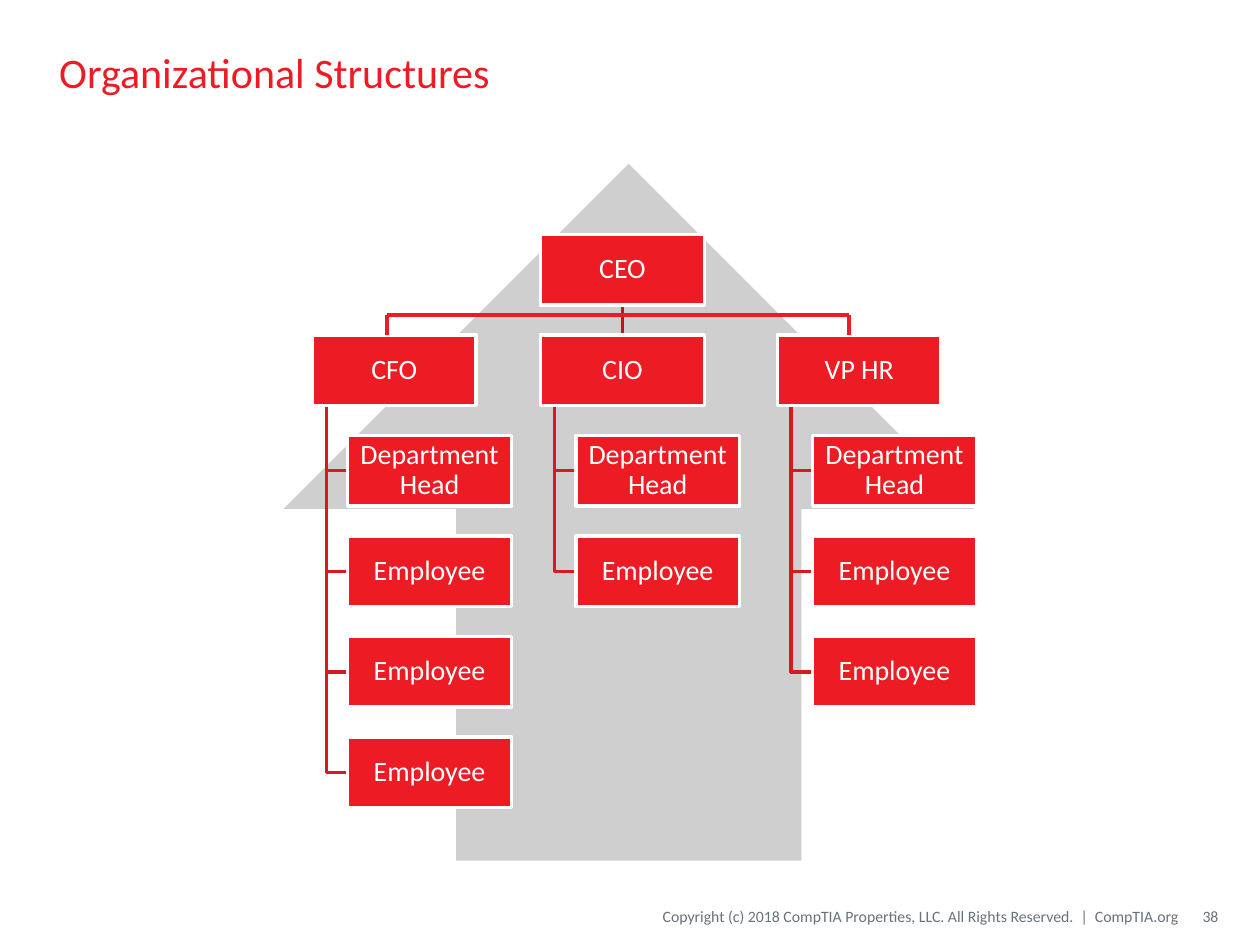
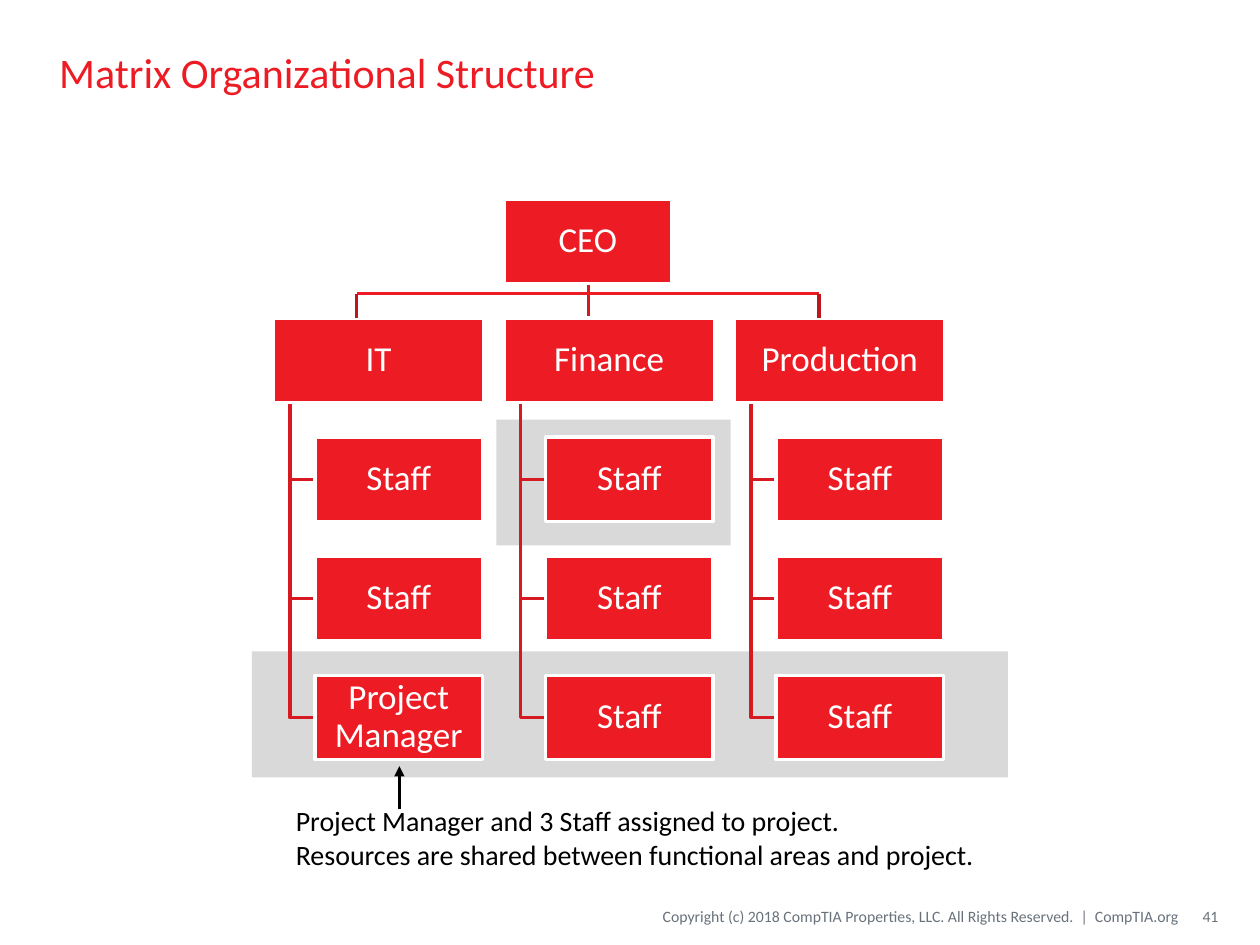
from dataclasses import dataclass

from lxml import etree
from pptx import Presentation
from pptx import util as u
from pptx.dml.color import RGBColor
from pptx.enum import shapes, text
from pptx.oxml import ns

RED = RGBColor(0xED, 0x1C, 0x24)
DEEP_RED = RGBColor(0xD7, 0x19, 0x21)
DARK_RED = RGBColor(0xBE, 0x16, 0x1D)
WHITE = RGBColor(0xFF, 0xFF, 0xFF)
BLACK = RGBColor(0, 0, 0)
FOOTER_GRAY = RGBColor(0x69, 0x72, 0x7B)
ARROW_GRAY = RGBColor(0xBF, 0xBF, 0xBF)
BAND_GRAY = RGBColor(0xD9, 0xD9, 0xD9)

FONT = "Calibri"
COPYRIGHT = ("Copyright (c) 2018 CompTIA Properties, LLC. All Rights Reserved.  |  "
             "CompTIA.org")
TITLE_ONLY = 5


@dataclass
class OrgGrid:
    """Measures of one chart in inches; row 0 is the top box, row 1 the heads."""
    columns: tuple      # left edges of the three branches
    top: float
    pitch: float        # from one row to the next
    box_width: float
    head_width: float
    box_height: float
    indent: float       # of the members, from their head's left edge
    stem: float         # of the vertical line, from the head's left edge
    trunk_x: float
    bus: tuple          # left end, right end and height of the crossbar
    bus_width: float
    trunk_color: RGBColor
    drop_color: RGBColor
    size: int

    def row(self, n):
        return self.top + n * self.pitch


def inches(*values):
    return [u.Inches(v) for v in values]


def write(sp, content, size, color, align=text.PP_ALIGN.LEFT,
          anchor=text.MSO_ANCHOR.MIDDLE, margins=None, spacing=None):
    tf = sp.text_frame
    tf.text = content
    tf.vertical_anchor = anchor
    if margins:
        (tf.margin_left, tf.margin_top,
         tf.margin_right, tf.margin_bottom) = inches(*margins)
    for p in tf.paragraphs:
        p.alignment = align
        if spacing:
            p.line_spacing = spacing
        for r in p.runs:
            r.font.name, r.font.size = FONT, u.Pt(size)
            r.font.color.rgb = color
    return tf


def add_text(slide, at, content, size, color, wrap=True, **style):
    sp = slide.shapes.add_textbox(*inches(*at))
    write(sp, content, size, color, **style).word_wrap = wrap


def add_filled(slide, kind, at, color):
    sp = slide.shapes.add_shape(kind, *inches(*at))
    sp.shadow.inherit = False
    sp.fill.solid()
    sp.fill.fore_color.rgb = color
    sp.line.fill.background()
    return sp


def add_box(slide, at, label, size):
    sp = add_filled(slide, shapes.MSO_SHAPE.RECTANGLE, at, RED)
    sp.line.color.rgb = WHITE
    sp.line.width = u.Pt(2)
    write(sp, label, size, WHITE, align=text.PP_ALIGN.CENTER,
          margins=(0.01,) * 4, spacing=0.9)


def add_line(slide, start, end, color, width=2):
    line = slide.shapes.add_connector(
        shapes.MSO_CONNECTOR.STRAIGHT, *inches(*start, *end))
    line.line.color.rgb = color
    line.line.width = u.Pt(width)
    etree.SubElement(line.line._get_or_add_ln().getparent(),
                     ns.qn("a:effectLst"))
    return line


def add_elbow(slide, x, y, end_x, end_y):
    """Draw a line down from (x, y), then right to (end_x, end_y)."""
    builder = slide.shapes.build_freeform(*inches(x, y), scale=1.0)
    builder.add_line_segments(
        [inches(x, end_y), inches(end_x, end_y)], close=False)
    sp = builder.convert_to_shape()
    sp.shadow.inherit = False
    sp.fill.background()
    sp.line.color.rgb = DEEP_RED
    sp.line.width = u.Pt(2)


def add_org_chart(slide, grid, chief, chief_x, branches):
    """Draw the chief and the branches, a list of (head, members)."""
    heads_top = grid.row(1)
    add_line(slide, (grid.trunk_x, grid.top + grid.box_height),
             (grid.trunk_x, heads_top), grid.trunk_color)
    add_box(slide, (chief_x, grid.top, grid.box_width, grid.box_height),
            chief, grid.size)
    for x, (head, members) in zip(grid.columns, branches):
        rows = [grid.row(n) for n in range(2, 2 + len(members))]
        for y in rows:
            add_elbow(slide, x + grid.stem, heads_top + grid.box_height,
                      x + grid.indent, y + grid.box_height / 2)
        add_box(slide, (x, heads_top, grid.head_width, grid.box_height),
                head, grid.size)
        for y, member in zip(rows, members):
            add_box(slide, (x + grid.indent, y, grid.box_width, grid.box_height),
                    member, grid.size)
    left, right, y = grid.bus
    add_line(slide, (left, y), (right, y), RED, grid.bus_width)
    for x in (left, right):
        add_line(slide, (x, y), (x, heads_top), grid.drop_color)


def add_slide(prs, title, number):
    slide = prs.slides.add_slide(prs.slide_layouts[TITLE_ONLY])
    sp = slide.shapes.title
    sp.left, sp.top, sp.width, sp.height = inches(0.37, 0.11, 9.25, 0.92)
    write(sp, title, 24, RED).auto_size = text.MSO_AUTO_SIZE.NONE
    for at, content, inset in (((3.88, 7.12, 5.47, 0.3), COPYRIGHT, 0),
                               ((9.38, 7.12, 0.29, 0.3), str(number), 0.1)):
        add_text(slide, at, content, 9, FOOTER_GRAY,
                 align=text.PP_ALIGN.RIGHT, margins=(inset, 0.05, 0, 0.05))
    return slide


def add_hierarchy_slide(prs):
    slide = add_slide(prs, "Organizational Structures", 38)
    arrow = add_filled(slide, shapes.MSO_SHAPE.UP_ARROW,
                       (2.25, 1.3, 5.48, 5.53), ARROW_GRAY)
    color = arrow.fill._xPr.find(".//" + ns.qn("a:srgbClr"))
    etree.SubElement(color, ns.qn("a:alpha"), val="75000")
    grid = OrgGrid(
        columns=(2.48, 4.29, 6.17), top=1.86, pitch=3.99 / 5,
        box_width=1.3, head_width=1.3, box_height=0.56, indent=0.28,
        stem=0.11, trunk_x=4.94, bus=(3.07, 6.74, 2.5), bus_width=2,
        trunk_color=DARK_RED, drop_color=RED, size=16)
    branches = [(head, ["Department Head"] + ["Employee"] * employees)
                for head, employees in (("CFO", 3), ("CIO", 1), ("VP HR", 2))]
    add_org_chart(slide, grid, "CEO", grid.columns[1], branches)


def add_matrix_slide(prs):
    slide = add_slide(prs, "Matrix Organizational Structure", 41)
    add_text(slide, (2.25, 6.33, 5.66, 0.64),
             "Project Manager and 3 Staff assigned to project.\n"
             "Resources are shared between functional areas and project.",
             16, BLACK, wrap=False, anchor=text.MSO_ANCHOR.TOP)
    for band in ((3.94, 3.33, 1.86, 1), (2, 5.17, 6, 1)):
        add_filled(slide, shapes.MSO_SHAPE.RECTANGLE, band, BAND_GRAY)
    pointer = add_line(slide, (3.17, 6.08), (3.17, 6.42), BLACK, 1.5)
    etree.SubElement(pointer.line._get_or_add_ln(), ns.qn("a:headEnd"),
                     type="triangle")
    grid = OrgGrid(
        columns=tuple(2.17 + 1.83 * n for n in range(3)), top=1.58,
        pitch=3.78 / 4, box_width=1.33, head_width=1.67, box_height=0.67,
        indent=0.33, stem=0.13, trunk_x=4.67, bus=(2.83, 6.5, 2.33),
        bus_width=1.5, trunk_color=DEEP_RED, drop_color=DARK_RED, size=20)
    branches = [("IT", ["Staff", "Staff", "Project Manager"]),
                ("Finance", ["Staff"] * 3),
                ("Production", ["Staff"] * 3)]
    add_org_chart(slide, grid, "CEO", grid.columns[1], branches)


def main():
    prs = Presentation()
    prs.slide_width, prs.slide_height = inches(10, 7.5)
    add_hierarchy_slide(prs)
    add_matrix_slide(prs)
    prs.save("out.pptx")


if __name__ == "__main__":
    main()
